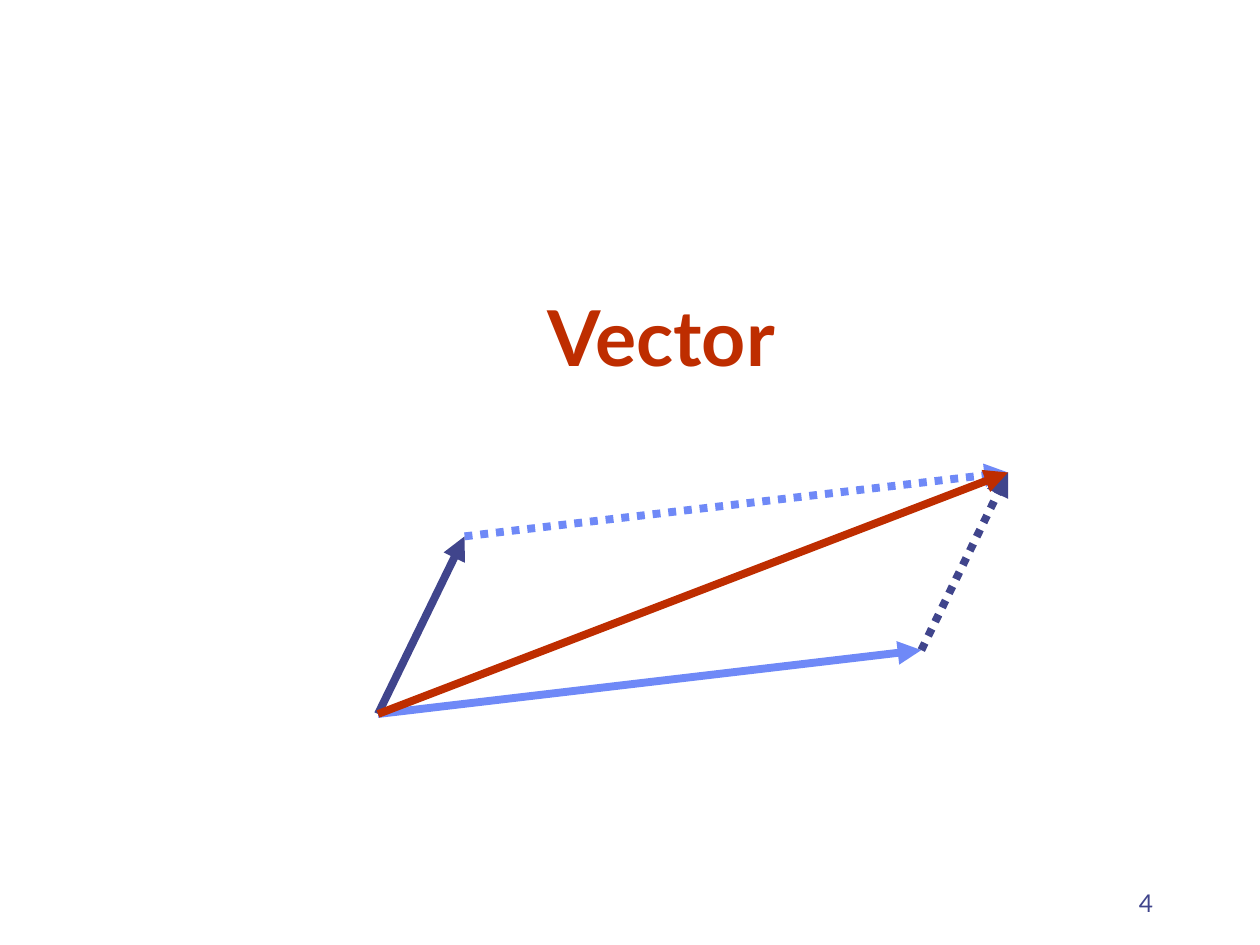
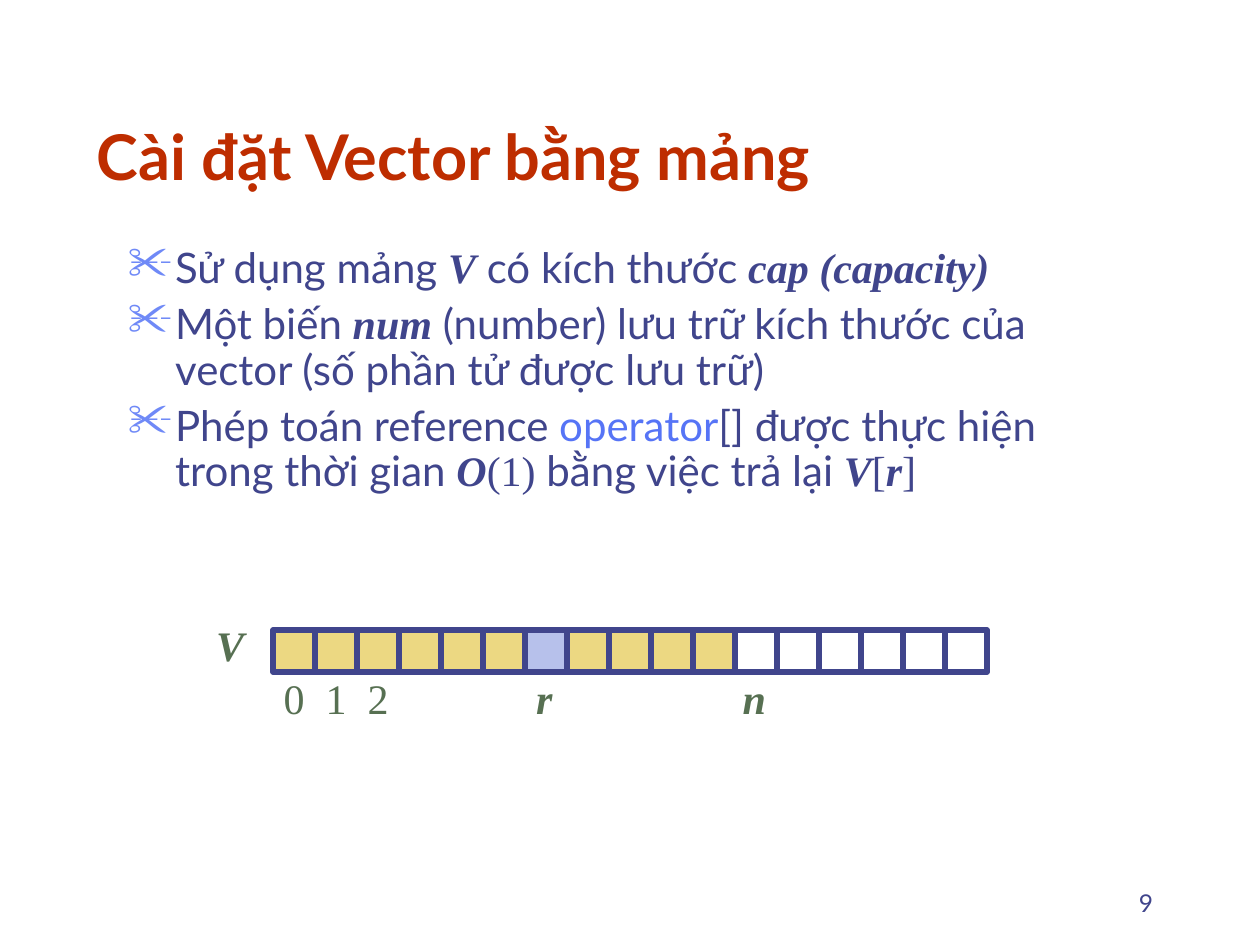
from lxml.etree import SubElement
from pptx import Presentation
from pptx.dml.color import RGBColor
from pptx.enum.dml import MSO_LINE_DASH_STYLE as DASH
from pptx.enum.shapes import MSO_CONNECTOR, MSO_SHAPE
from pptx.enum.text import MSO_ANCHOR as ANCHOR, MSO_AUTO_SIZE as AUTO, PP_ALIGN as ALIGN
from pptx.oxml.ns import qn
from pptx.util import Pt

INDIGO = RGBColor(0x40, 0x45, 0x8C)
BLUE = RGBColor(0x6F, 0x89, 0xF7)
CODE_BLUE = RGBColor(0x56, 0x74, 0xF6)
RED = RGBColor(0xBE, 0x2D, 0x00)
GREEN = RGBColor(0x57, 0x70, 0x52)
YELLOW = RGBColor(0xEC, 0xD8, 0x82)
LAVENDER = RGBColor(0xB7, 0xC1, 0xEB)
WHITE = RGBColor(0xFF, 0xFF, 0xFF)
SANS, SERIF = "Lato", "Times New Roman"
TITLE_ONLY = 5


class Deck:
    """Holds the presentation, its style and the slide being built."""

    def __init__(self):
        self.prs = Presentation()
        self.prs.slide_width, self.prs.slide_height = Pt(720), Pt(540)
        self.s = None

    def slide(self, number):
        self.s = self.prs.slides.add_slide(self.prs.slide_layouts[TITLE_ONLY])
        tf = self.box(516, 492, 150, 36, anchor=ANCHOR.BOTTOM)
        p = tf.paragraphs[0]
        p.alignment = ALIGN.RIGHT
        self.run(p, str(number), 14)

    def run(self, p, text, size, color=INDIGO, font=SANS, bold=False, italic=False):
        r = p.add_run()
        r.text = text
        r.font.name, r.font.size = font, Pt(size)
        r.font.bold, r.font.italic = bold, italic
        r.font.color.rgb = color

    def title(self, text, left, top, size, align=ALIGN.LEFT):
        sp = self.s.shapes.title
        sp.left, sp.top, sp.width, sp.height = Pt(left), Pt(top), Pt(612), Pt(90)
        tf = sp.text_frame
        tf.auto_size, tf.vertical_anchor = AUTO.NONE, ANCHOR.BOTTOM
        p = tf.paragraphs[0]
        p.alignment = align
        self.run(p, text, size, RED, bold=True)

    def box(self, left, top, width, height, anchor=ANCHOR.TOP):
        sp = self.s.shapes.add_textbox(Pt(left), Pt(top), Pt(width), Pt(height))
        tf = sp.text_frame
        tf.word_wrap, tf.vertical_anchor = True, anchor
        return tf

    def bullets(self, items, left, top, width, height):
        """Each item is a list of (text, run style) pairs."""
        tf = self.box(left, top, width, height)
        for i, item in enumerate(items):
            p = tf.add_paragraph() if i else tf.paragraphs[0]
            pPr = p._p.get_or_add_pPr()
            pPr.set("marL", str(Pt(27)))
            pPr.set("indent", str(-Pt(27)))
            color = SubElement(pPr, qn("a:buClr"))
            SubElement(color, qn("a:srgbClr")).set("val", str(BLUE))
            SubElement(pPr, qn("a:buSzPct")).set("val", "110000")
            SubElement(pPr, qn("a:buChar")).set("char", "✂")
            p.line_spacing = 0.9
            p.space_before = Pt(6 if i else 0)
            for text, style in item:
                self.run(p, text, 24, **style)

    def label(self, text, left, top, width):
        """Centred array label; letters are variables, so bold italic."""
        tf = self.box(left, top, width, 29)
        tf.margin_left = tf.margin_right = tf.margin_top = tf.margin_bottom = 0
        p = tf.paragraphs[0]
        p.alignment = ALIGN.CENTER
        is_variable = text.isalpha()
        self.run(p, text, 24, GREEN, SERIF, is_variable, is_variable)

    def cell(self, left, top, size, fill):
        sp = self.s.shapes.add_shape(MSO_SHAPE.RECTANGLE, Pt(left), Pt(top), Pt(size), Pt(size))
        sp.shadow.inherit = False
        sp.fill.solid()
        sp.fill.fore_color.rgb = fill
        sp.line.color.rgb, sp.line.width = INDIGO, Pt(3)

    def arrow(self, start, end, color, dash=None):
        c = self.s.shapes.add_connector(MSO_CONNECTOR.STRAIGHT, *map(Pt, start + end))
        c.line.color.rgb, c.line.width = color, Pt(4.5)
        if dash:
            c.line.dash_style = dash
        SubElement(c.line._get_or_add_ln(), qn("a:tailEnd")).set("type", "triangle")
        SubElement(c._element.spPr, qn("a:effectLst"))


def build_vector_slide(deck):
    deck.slide(4)
    deck.title("Vector", 72, 132, 44, ALIGN.CENTER)
    origin, a, b, total = (216, 408), (265.5, 306.5), (526.5, 371.5), (576, 270)
    deck.arrow(origin, a, INDIGO)
    deck.arrow(origin, b, BLUE)
    deck.arrow(b, total, INDIGO, DASH.ROUND_DOT)
    deck.arrow(a, total, BLUE, DASH.ROUND_DOT)
    deck.arrow(origin, total, RED)


def build_array_slide(deck):
    deck.slide(9)
    deck.title("Cài đặt Vector bằng mảng", 48, 24, 36)

    plain, serif = {}, {"font": SERIF}
    var = {"font": SERIF, "bold": True, "italic": True}
    deck.bullets([
        [("Sử dụng mảng ", plain), ("V", var), (" có kích thước ", plain),
         ("cap (capacity)", var)],
        [("Một biến ", plain), ("num", var),
         (" (number) lưu trữ kích thước của vector (số phần tử được lưu trữ)", plain)],
        [("Phép toán reference ", plain), ("operator", {"color": CODE_BLUE}),
         ("[] được thực hiện trong thời gian ", plain), ("O", var), ("(1)", serif),
         (" bằng việc trả lại ", plain), ("V", var), ("[", serif), ("r", var), ("]", serif)],
    ], 66, 138, 588, 150)

    left, top, size = 156, 360, 24
    capacity, used, rank = 17, 11, 6
    for i in range(capacity):
        fill = LAVENDER if i == rank else YELLOW if i < used else WHITE
        deck.cell(left + i * size, top, size, fill)

    deck.label("V", 120, 354, 23)
    for text, i in [("0", 0), ("1", 1), ("2", 2), ("r", rank), ("n", used)]:
        width = 22 if text.isalpha() else size
        deck.label(text, left + i * size, 384.5, width)


def main():
    deck = Deck()
    build_vector_slide(deck)
    build_array_slide(deck)
    deck.prs.save("out.pptx")


if __name__ == "__main__":
    main()
